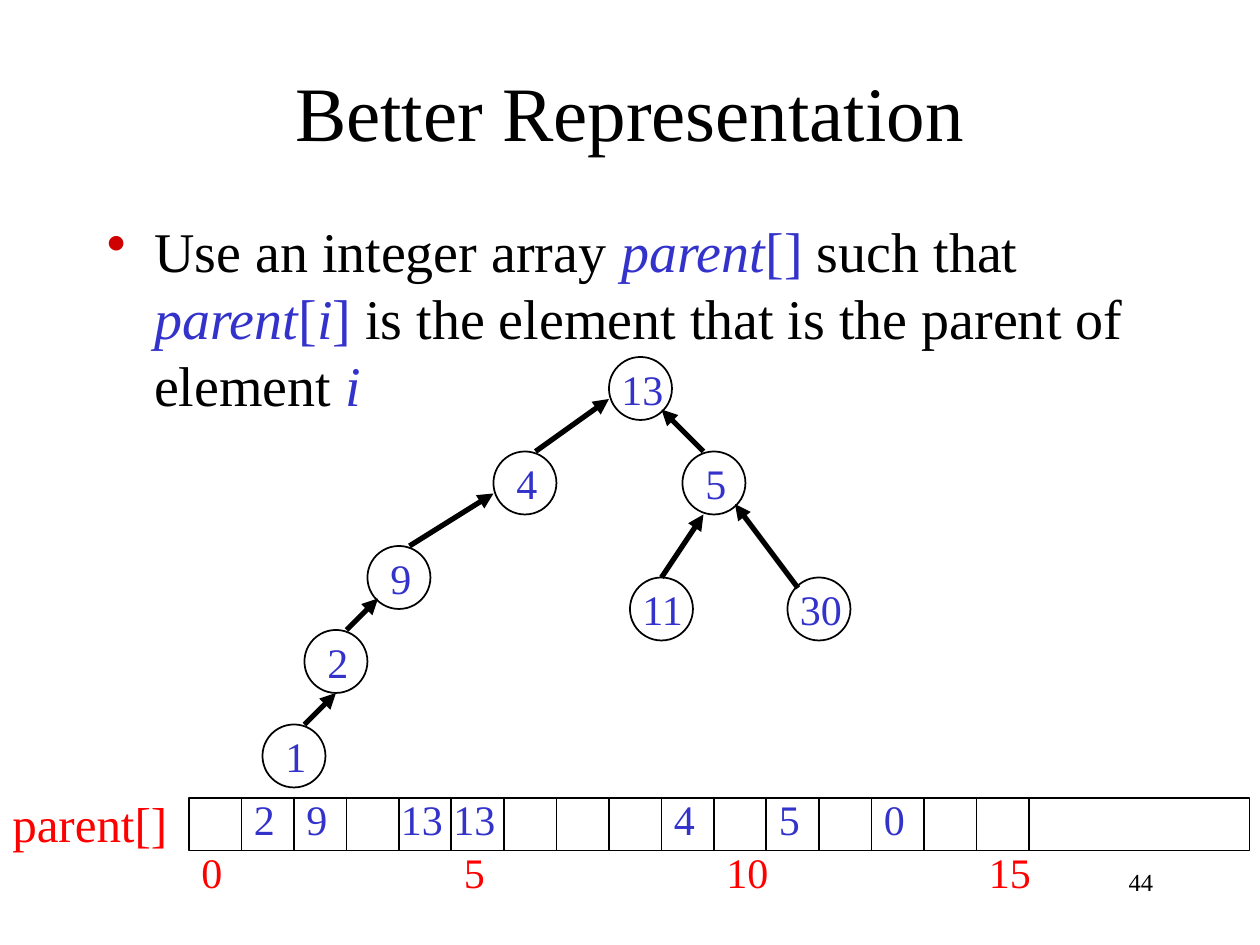
from pptx import Presentation
from pptx.util import Pt
from pptx.dml.color import RGBColor
from pptx.enum.shapes import MSO_SHAPE, MSO_CONNECTOR
from pptx.enum.text import MSO_ANCHOR, PP_ALIGN
from pptx.oxml.ns import qn
from lxml.etree import SubElement

# Content: (text, italic and blue or plain blue)
TITLE = "Better Representation"
BODY = [
    ("Use an integer array ", "plain"), ("parent", "var"), ("[]", "code"),
    (" such that ", "plain"), ("parent", "var"), ("[", "code"), ("i", "var"),
    ("]", "code"), (" is the element that is the parent of element ", "plain"),
    ("i", "var"),
]
NODES = {  # label: left and top of its circle
    "13": (348, 204), "4": (282, 258), "5": (390, 258), "9": (210, 312),
    "11": (360, 330), "30": (450, 330), "2": (174, 360), "1": (150, 414),
}
LINKS = [  # arrowhead end at the parent, then the child end
    ((348, 228), (306, 258)), ((378, 234), (402, 258)),
    ((282, 282), (234, 312)), ((402, 294), (378, 330)),
    ((420, 288), (456, 336)), ((216, 342), (198, 360)),
    ((192, 396), (174, 414)),
]
ARRAY = "parent[]"
SLOTS = 16
PARENTS = {1: "2", 2: "9", 4: "13", 5: "13", 9: "4", 11: "5", 13: "0"}
PAGE = "44"

# Theme and layout
THEME = {
    "font": "Times New Roman",
    "black": RGBColor(0, 0, 0), "blue": RGBColor(0x33, 0x33, 0xCC),
    "red": RGBColor(0xFF, 0, 0), "dot": "CE0000",
    "title": 44, "body": 32, "name": 28, "label": 24, "page": 14,
}
NODE, CELL, REST = 36, 30, 126
LEFT, TOP = 108, 456
SHIFT = 6

deck = Presentation()
deck.slide_width, deck.slide_height = Pt(720), Pt(540)
slide = deck.slides.add_slide(deck.slide_layouts[6])
shapes = slide.shapes


def style(font, size, color):
    font.name = THEME["font"]
    font.size = Pt(THEME[size])
    font.color.rgb = THEME[color]


def add_text(box, text, size, color, align=PP_ALIGN.LEFT, wrap=False):
    frame = shapes.add_textbox(*map(Pt, box)).text_frame
    frame.word_wrap = wrap
    para = frame.paragraphs[0]
    para.text = text
    para.alignment = align
    style(para.font, size, color)
    return frame


def add_outline(kind, box):
    shape = shapes.add_shape(kind, *map(Pt, box))
    shape.shadow.inherit = False
    shape.fill.background()
    shape.line.color.rgb = THEME["black"]
    shape.line.width = Pt(1)


def add_arrow(head, end):
    line = shapes.add_connector(MSO_CONNECTOR.STRAIGHT, *map(Pt, head + end))
    line.line.color.rgb = THEME["black"]
    line.line.width = Pt(3)
    SubElement(line.line._get_or_add_ln(), qn("a:headEnd"), type="triangle")
    SubElement(line._element.spPr, qn("a:effectLst"))


# Title
frame = add_text((54, 18, 612, 90), TITLE, "title", "black",
                 PP_ALIGN.CENTER, True)
frame.vertical_anchor = MSO_ANCHOR.MIDDLE

# Bullet
frame = add_text((54, 120, 612, 360), "", "body", "black", wrap=True)
para = frame.paragraphs[0]
props = para._p.get_or_add_pPr()
props.set("marL", str(Pt(27)))
props.set("indent", str(-Pt(27)))
tint = SubElement(props, qn("a:buClr"))
SubElement(tint, qn("a:srgbClr"), val=THEME["dot"])
SubElement(props, qn("a:buChar"), char="•")
props.append(props.find(qn("a:defRPr")))  # must follow the bullet
for text, kind in BODY:
    run = para.add_run()
    run.text = text
    style(run.font, "body", "black" if kind == "plain" else "blue")
    run.font.italic = kind == "var"

# Tree
for label, (x, y) in NODES.items():
    add_outline(MSO_SHAPE.OVAL, (x, y, NODE, NODE))
    box = (x + SHIFT, y, 24, NODE) if len(label) == 1 else (x, y, 54, NODE)
    add_text(box, label, "label", "blue")
for head, end in LINKS:
    add_arrow(head, end)

# Array cells, with a long last one for the rest
for i in range(SLOTS + 1):
    wide = CELL if i < SLOTS else REST
    add_outline(MSO_SHAPE.RECTANGLE, (LEFT + i * CELL, TOP, wide, CELL))

# Array name, values and every fifth index
add_text((0, TOP - SHIFT, LEFT, 41), ARRAY, "name", "red")
for i, value in PARENTS.items():
    x = LEFT + i * CELL - SHIFT * (len(value) - 1)
    add_text((x, TOP - SHIFT, 54, 36), value, "label", "blue")
for i in range(0, SLOTS, 5):
    wide = CELL if i < 10 else 48
    add_text((LEFT + i * CELL, TOP + 24, wide, 36), str(i), "label", "red")

# Page number
add_text((516, 492, 150, 36), PAGE, "page", "black", PP_ALIGN.RIGHT, True)

deck.save("out.pptx")
